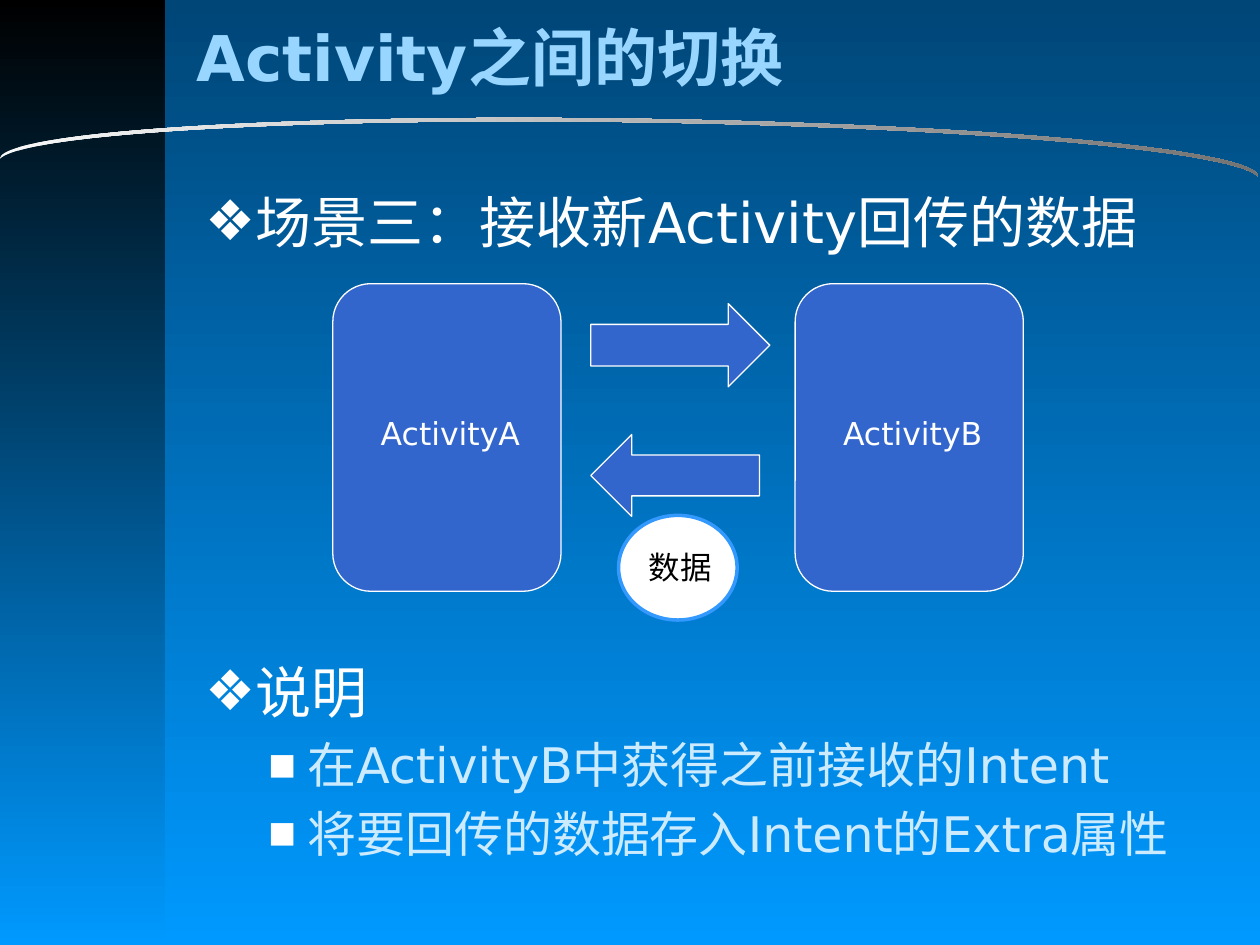
from dataclasses import dataclass

from lxml import etree
from pptx import Presentation
from pptx import util as u
from pptx.dml.color import RGBColor
from pptx.enum import shapes, text
from pptx.oxml.ns import qn

FONT = "DejaVu Sans"
BLACK = RGBColor(0x00, 0x00, 0x00)
WHITE = RGBColor(0xFF, 0xFF, 0xFF)
NIGHT_BLUE = RGBColor(0x00, 0x46, 0x77)
SKY_BLUE = RGBColor(0x00, 0x99, 0xFF)
ARC_LIGHT = RGBColor(0xF8, 0xF8, 0xF8)
ARC_DARK = RGBColor(0x73, 0x73, 0x73)
TITLE_BLUE = RGBColor(0x99, 0xD6, 0xFF)
DETAIL_BLUE = RGBColor(0xCC, 0xEB, 0xFF)
NODE_BLUE = RGBColor(0x33, 0x66, 0xCC)
RING_BLUE = RGBColor(0x33, 0x99, 0xFF)


@dataclass
class Box:
    """A place on the slide, in centimetres."""
    left: float
    top: float
    width: float
    height: float

    def lengths(self):
        return [u.Cm(v) for v in (self.left, self.top, self.width, self.height)]


@dataclass
class Figure:
    preset: shapes.MSO_SHAPE
    box: Box
    fill: RGBColor = NODE_BLUE
    line: RGBColor = WHITE
    line_width: float = 0.75


@dataclass
class Label:
    words: str
    box: Box
    size: int = 18
    color: RGBColor = WHITE
    bold: bool = False
    align: text.PP_ALIGN = text.PP_ALIGN.CENTER
    anchor: text.MSO_ANCHOR = text.MSO_ANCHOR.TOP


@dataclass
class BulletStyle:
    char: str
    size: int
    color: RGBColor
    margin: float
    hanging: float
    bullet_percent: int = 100


@dataclass
class Item:
    words: str
    style: BulletStyle


def fill_downwards(fill, first: RGBColor, last: RGBColor) -> None:
    fill.gradient()
    fill.gradient_angle = 270
    for stop, color, position in zip(fill.gradient_stops, (first, last), (0, 1)):
        stop.color.rgb = color
        stop.position = position


def format_runs(paragraph, size: int, color: RGBColor, bold: bool = False) -> None:
    for run in paragraph.runs:
        run.font.name = FONT
        run.font.size = u.Pt(size)
        run.font.bold = bold
        run.font.color.rgb = color


def add_gradient_shape(slide, preset, box: Box, first: RGBColor, last: RGBColor):
    shape = slide.shapes.add_shape(preset, *box.lengths())
    shape.shadow.inherit = False
    shape.line.fill.background()
    fill_downwards(shape.fill, first, last)
    return shape


def add_figure(slide, figure: Figure) -> None:
    shape = slide.shapes.add_shape(figure.preset, *figure.box.lengths())
    shape.shadow.inherit = False
    shape.fill.solid()
    shape.fill.fore_color.rgb = figure.fill
    shape.line.color.rgb = figure.line
    shape.line.width = u.Pt(figure.line_width)


def add_text_frame(slide, box: Box):
    frame = slide.shapes.add_textbox(*box.lengths()).text_frame
    frame.word_wrap = True
    return frame


def add_label(slide, label: Label) -> None:
    frame = add_text_frame(slide, label.box)
    frame.vertical_anchor = label.anchor
    frame.text = label.words
    frame.paragraphs[0].alignment = label.align
    format_runs(frame.paragraphs[0], label.size, label.color, label.bold)


def set_bullet(paragraph, style: BulletStyle) -> None:
    props = paragraph._p.get_or_add_pPr()
    props.set("marL", str(u.Cm(style.margin)))
    props.set("indent", str(-u.Cm(style.hanging)))
    color = etree.SubElement(props, qn("a:buClr"))
    etree.SubElement(color, qn("a:srgbClr"), val=str(WHITE))
    etree.SubElement(props, qn("a:buSzPct"), val=str(style.bullet_percent * 1000))
    etree.SubElement(props, qn("a:buFont"), typeface=FONT)
    etree.SubElement(props, qn("a:buChar"), char=style.char)


def add_list(slide, box: Box, items: list[Item]) -> None:
    frame = add_text_frame(slide, box)
    frame.text = "\n".join(item.words for item in items)
    for paragraph, item in zip(frame.paragraphs, items):
        paragraph.space_before = u.Pt(item.style.size * 0.2)
        set_bullet(paragraph, item.style)
        format_runs(paragraph, item.style.size, item.style.color)


HEADING = BulletStyle("❖", 32, WHITE, 0.97, 0.97)
DETAIL = BulletStyle("■", 28, DETAIL_BLUE, 2.06, 0.79, 60)

ACTIVITIES = {"ActivityA": 6.71, "ActivityB": 16.03}
ARROWS = [
    Figure(shapes.MSO_SHAPE.RIGHT_ARROW, Box(11.91, 6.12, 3.61, 1.68)),
    Figure(shapes.MSO_SHAPE.LEFT_ARROW, Box(11.91, 8.76, 3.4, 1.65)),
]
DATA = Figure(shapes.MSO_SHAPE.OVAL, Box(12.47, 10.39, 2.39, 2.11), WHITE, RING_BLUE, 2)


def main() -> None:
    deck = Presentation()
    deck.slide_width, deck.slide_height = u.Cm(25.4), u.Cm(19.05)
    slide = deck.slides.add_slide(deck.slide_layouts[6])

    # Backdrop: gradient, dark side band and thin arc
    fill_downwards(slide.background.fill, NIGHT_BLUE, SKY_BLUE)
    add_gradient_shape(slide, shapes.MSO_SHAPE.RECTANGLE, Box(0, 0, 3.33, 19.05),
                       BLACK, SKY_BLUE)
    arc = add_gradient_shape(slide, shapes.MSO_SHAPE.MOON, Box(12.19, -9.8, 0.99, 25.37),
                             ARC_LIGHT, ARC_DARK)
    arc.adjustments[0] = 0.07
    arc.rotation = 270.8
    arc._element.spPr.find(qn("a:xfrm")).set("flipH", "1")

    # Title and lists
    add_label(slide, Label("Activity之间的切换", Box(3.71, 0.28, 19.25, 1.7), 36, TITLE_BLUE,
                           True, text.PP_ALIGN.LEFT, text.MSO_ANCHOR.MIDDLE))
    add_list(slide, Box(3.89, 3.66, 21.01, 1.8),
             [Item("场景三：接收新Activity回传的数据", HEADING)])
    add_list(slide, Box(3.89, 13.13, 21.01, 4.3), [
        Item("说明", HEADING),
        Item("在ActivityB中获得之前接收的Intent", DETAIL),
        Item("将要回传的数据存入Intent的Extra属性", DETAIL),
    ])

    # The two activities
    for name, left in ACTIVITIES.items():
        add_figure(slide, Figure(shapes.MSO_SHAPE.ROUNDED_RECTANGLE,
                                 Box(left, 5.72, 4.6, 6.2)))
        add_label(slide, Label(name, Box(left + 0.07, 8.23, 4.6, 1.02)))

    # Exchange between them
    for figure in [*ARROWS, DATA]:
        add_figure(slide, figure)
    add_label(slide, Label("数据", Box(12.83, 10.92, 1.8, 1.02), color=BLACK,
                           align=text.PP_ALIGN.LEFT))

    deck.save("out.pptx")


if __name__ == "__main__":
    main()
